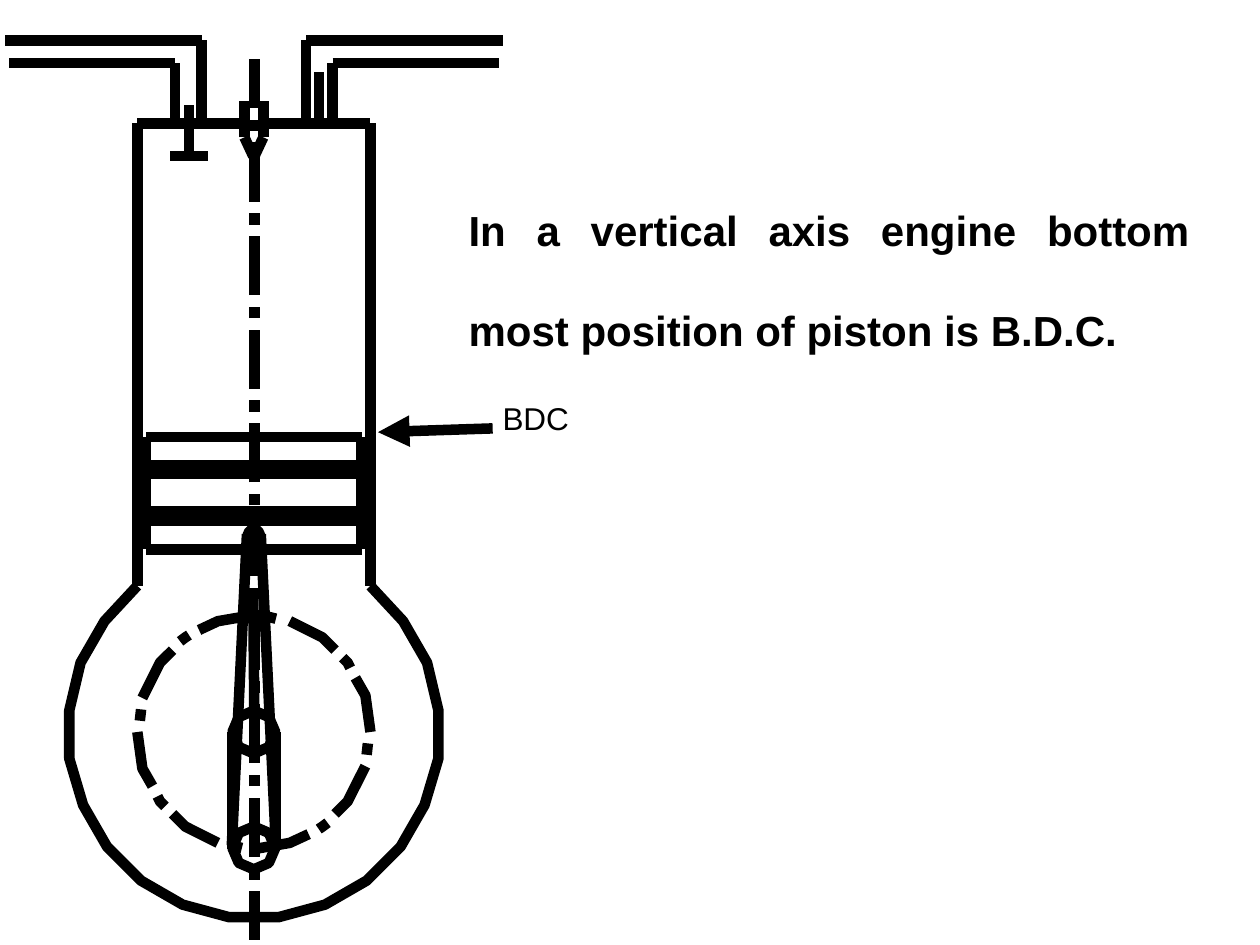
from lxml import etree
from pptx import Presentation
from pptx.dml.color import RGBColor
from pptx.enum.shapes import MSO_CONNECTOR
from pptx.enum.text import MSO_AUTO_SIZE, PP_ALIGN
from pptx.oxml.ns import qn
from pptx.util import Inches, Pt

STRAIGHT = MSO_CONNECTOR.STRAIGHT
FIT_SHAPE = MSO_AUTO_SIZE.SHAPE_TO_FIT_TEXT
JUSTIFY = PP_ALIGN.JUSTIFY
LEFT = PP_ALIGN.LEFT
INK = "000000"
CRANK_Y = 5.81
AXIS_X = 2.015


def color(hex_value):
    return RGBColor.from_string(hex_value)


def mirror(points):
    return [(round(2 * AXIS_X - x, 2), y) for x, y in points]


def half_turn(points):
    return [(x, round(2 * CRANK_Y - y, 2)) for x, y in mirror(points)]


class Sketch:
    font = "Arial"
    weight = Pt(6)

    def __init__(self, slide):
        self.slide = slide
        self.engine = slide.shapes.add_group_shape().shapes

    def stroke(self, line):
        line.color.rgb = color(INK)
        line.width = self.weight

    def line(self, start, end, shapes=None):
        ends = [Inches(value) for value in (*start, *end)]
        connector = (shapes or self.engine).add_connector(STRAIGHT, *ends)
        self.stroke(connector.line)
        etree.SubElement(connector._element.spPr, qn("a:effectLst"))
        return connector

    def arrow(self, tip, tail):
        connector = self.line(tip, tail, self.slide.shapes)
        outline = connector._element.spPr.find(qn("a:ln"))
        etree.SubElement(outline, qn("a:headEnd"), type="triangle")

    def curve(self, points, close=False):
        corners = [(Inches(x), Inches(y)) for x, y in points]
        builder = self.engine.build_freeform(*corners[0])
        builder.add_line_segments(corners[1:], close=close)
        outline = builder.convert_to_shape()
        outline.shadow.inherit = False
        outline.fill.background()
        self.stroke(outline.line)
        etree.SubElement(outline._element.spPr.find(qn("a:ln")), qn("a:round"))

    def pin(self, x, y, radius):
        near = 0.7 * radius
        self.curve([(x + radius, y), (x + near, y - near), (x, y - radius),
                    (x - near, y - near), (x - radius, y), (x - near, y + near),
                    (x, y + radius), (x + near, y + near)], close=True)

    def text(self, content, box, size, bold=False, wrap=True, align=LEFT, spacing=1.0):
        frame = self.slide.shapes.add_textbox(*map(Inches, box)).text_frame
        frame.word_wrap = wrap
        frame.auto_size = FIT_SHAPE
        frame.text = content
        paragraph = frame.paragraphs[0]
        paragraph.alignment = align
        paragraph.line_spacing = spacing
        font = paragraph.runs[0].font
        font.name, font.size, font.bold = self.font, Pt(size), bold
        font.color.rgb = color(INK)


SYMMETRIC_LINES = [
    ((1.84, 6.71), (1.96, 4.24)),
    ((1.09, 4.65), (1.09, 0.98)),
    ((1.84, 5.81), (1.84, 6.74)),
    ((1.09, 0.98), (1.39, 0.98)),
    ((1.6, 0.98), (1.94, 0.98)),
    ((1.16, 3.69), (1.16, 3.47)),
    ((1.16, 4.06), (1.16, 3.76)),
    ((1.16, 4.36), (1.16, 4.13)),
    ((1.6, 0.98), (1.6, 0.32)),
    ((1.39, 0.98), (1.39, 0.5)),
    ((1.39, 0.5), (0.07, 0.5)),
    ((1.6, 0.32), (0.04, 0.32)),
    ((1.94, 1.09), (2.01, 1.24)),
    ((1.94, 1.09), (1.94, 0.8)),
]

VALVES_AND_ROD = [
    ((1.39, 0.98), (1.6, 0.98)),
    ((1.35, 1.24), (1.65, 1.24)),
    ((1.5, 1.24), (1.5, 0.83)),
    ((2.38, 0.98), (2.68, 0.98)),
    ((2.53, 0.98), (2.53, 0.57)),
    ((2.02, 5.81), (2.01, 4.71)),
]

PISTON_RINGS = [(1.16, 3.47), (1.09, 3.69), (1.09, 3.76),
                (1.09, 4.06), (1.09, 4.13), (1.16, 4.36)]

CRANKCASE_LEFT = [(1.09, 4.65), (0.83, 4.93), (0.64, 5.26), (0.55, 5.64), (0.55, 6.02),
                  (0.66, 6.39), (0.85, 6.72), (1.12, 6.99), (1.45, 7.18), (1.82, 7.28)]

CRANK_PATH_DASHES = [
    [(2.94, 5.81), (2.9, 5.52), (2.82, 5.38)],
    [(2.78, 5.3), (2.76, 5.26), (2.72, 5.22)],
    [(2.66, 5.16), (2.56, 5.06), (2.3, 4.93)],
    [(2.19, 4.91), (2.11, 4.89)],
    [(2.02, 4.88), (1.73, 4.93), (1.58, 5)],
    [(1.5, 5.04), (1.47, 5.06), (1.43, 5.09)],
    [(1.37, 5.16), (1.27, 5.26), (1.13, 5.54)],
    [(1.12, 5.63), (1.11, 5.72)],
]


def main():
    presentation = Presentation()
    presentation.slide_width, presentation.slide_height = Inches(10), Inches(7.5)
    sketch = Sketch(presentation.slides.add_slide(presentation.slide_layouts[6]))

    dash_pitch = 5.2 / 7
    axis_dashes = [(0.47, 0.86), (7.07, 7.46)]
    axis_dashes += [(1.13 + dash_pitch * k, 1.6 + dash_pitch * k) for k in range(8)]
    axis_dashes += [(0.95 + dash_pitch * k, 1.04 + dash_pitch * k) for k in range(9)]
    for top, bottom in axis_dashes:
        sketch.line((2.02, bottom), (2.02, top))

    sketch.curve(CRANKCASE_LEFT + mirror(CRANKCASE_LEFT)[::-1])
    for dash in CRANK_PATH_DASHES:
        sketch.curve(dash)
        sketch.curve(half_turn(dash))

    for part in SYMMETRIC_LINES:
        sketch.line(*part)
        sketch.line(*mirror(part))
    for part in VALVES_AND_ROD:
        sketch.line(*part)
    for ring_left, ring_y in PISTON_RINGS:
        sketch.line((ring_left, ring_y), *mirror([(ring_left, ring_y)]))

    for pin_y, radius in [(CRANK_Y, 0.17), (6.73, 0.17), (4.25, 0.05)]:
        sketch.pin(AXIS_X, pin_y, radius)

    sketch.text("In a vertical axis engine bottom most position of piston is B.D.C.",
                (3.62, 1.17, 5.92, 1.59), 24, bold=True, align=JUSTIFY, spacing=2.0)
    sketch.arrow((3, 3.43), (3.91, 3.4))
    sketch.text("BDC", (3.89, 3.12, 1.16, 0.63), 18, wrap=False)
    presentation.save("out.pptx")


if __name__ == "__main__":
    main()
